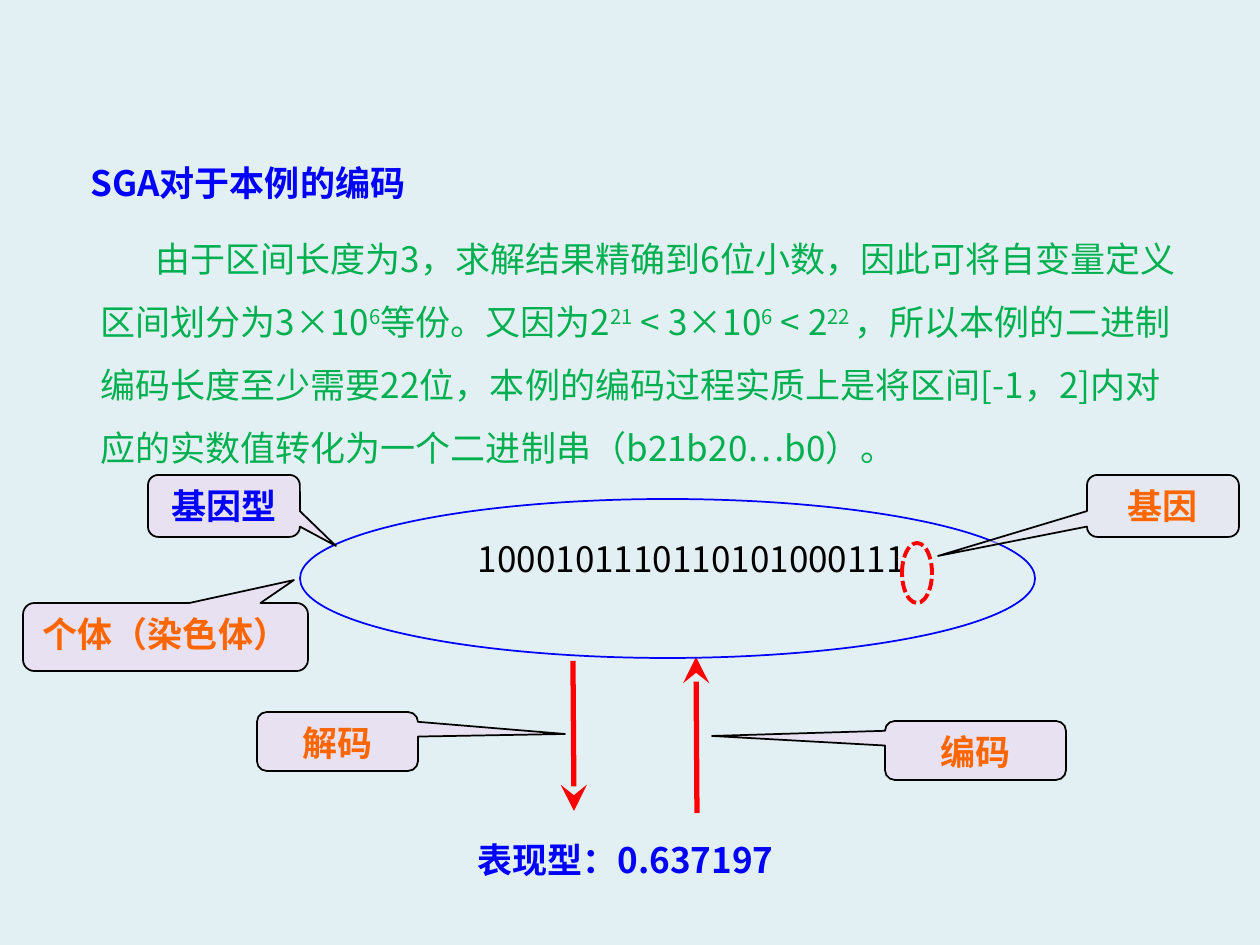
from pptx import Presentation, util as u
from pptx.dml.color import RGBColor
from pptx.enum import dml, shapes, text as t
from pptx.oxml.ns import qn
from lxml import etree

FONT = "Noto Sans CJK SC"
BLUE, GREEN, RED, ORANGE = "0000FF", "00B050", "FF0000", "FF6600"
BLACK, LILAC = "000000", "E7E1F1"


def px(n):
    return u.Emu(round(n * 914400 / 126))


def color(code):
    return RGBColor.from_string(code)


def style(para, ink, bold=False, align=t.PP_ALIGN.LEFT, gap=1.0):
    para.alignment, para.line_spacing = align, gap
    para.space_before = u.Pt(0)
    font = para.font
    font.name, font.size, font.bold = FONT, u.Pt(20), bold
    font.color.rgb = color(ink)
    east = etree.SubElement(font._element, qn("a:ea"))
    east.set("typeface", FONT)


def place(shape, box):
    shape.left, shape.top, shape.width, shape.height = map(px, box)


def label(slide, box, words, ink, bold=False, gap=1.5):
    frame = slide.shapes.add_textbox(*map(px, box)).text_frame
    frame.word_wrap = True
    para = frame.paragraphs[0]
    para.text = words
    style(para, ink, bold, t.PP_ALIGN.CENTER, gap)


def title(slide, box, words):
    shape = slide.shapes.title
    place(shape, box)
    frame = shape.text_frame
    frame.text = words
    frame.vertical_anchor = t.MSO_ANCHOR.BOTTOM
    style(frame.paragraphs[0], BLUE, True)


def body(slide, box, parts):
    """Every second part is a superscript."""
    frame = slide.shapes.add_textbox(*map(px, box)).text_frame
    frame.word_wrap = True
    para = frame.paragraphs[0]
    for i, words in enumerate(parts):
        run = para.add_run()
        run.text = words
        if i % 2:
            run.font._element.set("baseline", "30000")
    style(para, GREEN, gap=1.5)
    para._p.get_or_add_pPr().set("indent", str(px(55)))


def oval(slide, box, ink, width, dash=None):
    shape = slide.shapes.add_shape(shapes.MSO_SHAPE.OVAL, *map(px, box))
    shape.shadow.inherit = False
    shape.fill.background()
    shape.line.color.rgb = color(ink)
    shape.line.width = u.Pt(width)
    if dash:
        shape.line.dash_style = dash


def callout(slide, box, tip, words, ink, alpha=None):
    """Place a callout whose pointer ends at tip."""
    x, y, w, h = box
    kind = shapes.MSO_SHAPE.ROUNDED_RECTANGULAR_CALLOUT
    shape = slide.shapes.add_shape(kind, *map(px, box))
    shape.adjustments[0] = (tip[0] - x) / w - 0.5
    shape.adjustments[1] = (tip[1] - y) / h - 0.5
    shape.shadow.inherit = False
    shape.fill.solid()
    shape.fill.fore_color.rgb = color(LILAC)
    if alpha:
        tint = shape.fill._xPr.find(".//" + qn("a:srgbClr"))
        etree.SubElement(tint, qn("a:alpha")).set("val", str(alpha * 1000))
    shape.line.color.rgb = color(BLACK)
    shape.line.width = u.Pt(1)
    frame = shape.text_frame
    frame.margin_left = frame.margin_right = px(3)
    frame.vertical_anchor = t.MSO_ANCHOR.TOP
    frame.text = words
    style(frame.paragraphs[0], ink, True, t.PP_ALIGN.CENTER)


def arrow(slide, start, end):
    line = slide.shapes.add_connector(
        shapes.MSO_CONNECTOR.STRAIGHT, *map(px, start + end))
    line.line.color.rgb = color(RED)
    line.line.width = u.Pt(3)
    head = etree.SubElement(line.line._get_or_add_ln(), qn("a:tailEnd"))
    for key, value in (("type", "stealth"), ("w", "lg"), ("len", "lg")):
        head.set(key, value)
    etree.SubElement(line._element.spPr, qn("a:effectLst"))


def diagram(slide, box):
    """Genotype oval with its callouts, arrows and phenotype."""
    x, y, w, h = box

    def at(dx, dy, *size):
        return (x + dx, y + dy, *size)

    # Genotype and phenotype
    label(slide, at(64, 11, 656, 84), "1000101110110101000111", BLACK)
    label(slide, at(63, 312, 525, 89), "表现型：0.637197", BLUE, True)

    # Decoding and encoding arrows
    arrow(slide, at(273, 162), at(274, 312))
    arrow(slide, at(397, 314), at(396, 158))

    oval(slide, box, BLUE, 1)
    oval(slide, at(602, 44, 30, 60), RED, 2.25, dml.MSO_LINE.SQUARE_DOT)

    # Callouts
    for part, tip, words, ink, alpha in (
        ((585, 222, 181, 59), (412, 237), "编码", ORANGE, None),
        ((-43, 213, 161, 59), (265, 235), "解码", ORANGE, None),
        ((-277, 104, 285, 68), (-6, 81), "个体（染色体）", ORANGE, None),
        ((787, -24, 152, 62), (638, 57), "基因", ORANGE, 53),
        ((-152, -24, 152, 62), (36, 47), "基因型", BLUE, None),
    ):
        callout(slide, at(*part), at(*tip), words, ink, alpha)


def main():
    deck = Presentation()
    deck.slide_width, deck.slide_height = px(1260), px(945)
    slide = deck.slides.add_slide(deck.slide_layouts[5])
    slide.background.fill.solid()
    slide.background.fill.fore_color.rgb = color("E3F0F3")
    title(slide, (78, 9, 660, 201), "SGA对于本例的编码")
    body(slide, (88, 210, 1111, 277), (
        "由于区间长度为3，求解结果精确到6位小数，因此可将自变量定义区间划分为3×10",
        "6", "等份。又因为2", "21", " < 3×10", "6", " < 2", "22 ",
        "，所以本例的二进制编码长度至少需要22位，本例的编码过程实质上是将区间"
        "[-1，2]内对应的实数值转化为一个二进制串（b21b20…b0）。"))
    diagram(slide, (300, 499, 735, 159))
    deck.save("out.pptx")


if __name__ == "__main__":
    main()
